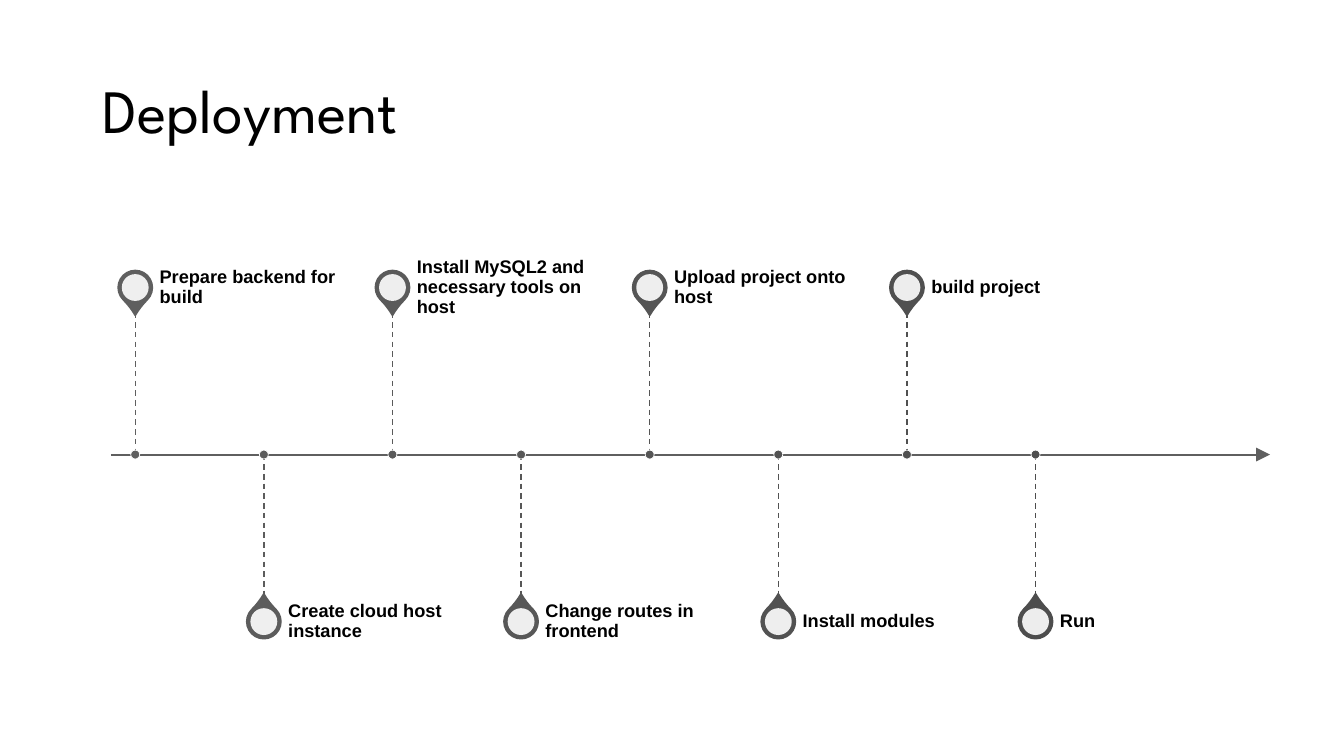
"""Build the deployment timeline slide."""
from lxml import etree
from pptx import Presentation
from pptx.dml.color import RGBColor
from pptx.enum import dml, shapes, text
from pptx.oxml import ns
from pptx.util import Pt

TITLE = "Deployment"
STEPS = [
    "Prepare backend for build",
    "Create cloud host instance",
    "Install MySQL2 and necessary tools on host",
    "Change routes in frontend",
    "Upload project onto host",
    "Install modules",
    "build project",
    "Run",
]
BLACK = RGBColor(0, 0, 0)
WHITE = RGBColor(255, 255, 255)
DARK, DEEP = 0x5F, 0x4D
AXIS = 324.7
LEFT, RIGHT = 79.2, 907.2
FIRST, STEP = 96.6, 91.87
REACH, STEM = 119.3, 101.5
PIN, HOLE, DOT = 24.6, 19.2, 6.4
GAP, WIDE, HIGH = 17.4, 149.8, 35.3


def gray(level):
    return RGBColor(level, level, level)


def disc(slide, kind, x, y, size, fill, edge=None, width=1):
    shape = slide.shapes.add_shape(
        kind, Pt(x - size / 2), Pt(y - size / 2), Pt(size), Pt(size))
    shape.shadow.inherit = False
    shape.fill.solid()
    shape.fill.fore_color.rgb = fill
    if edge is None:
        shape.line.fill.background()
    else:
        shape.line.color.rgb = edge
        shape.line.width = Pt(width)
    return shape


def rule(slide, x1, y1, x2, y2, color, width):
    line = slide.shapes.add_connector(
        shapes.MSO_CONNECTOR.STRAIGHT, Pt(x1), Pt(y1), Pt(x2), Pt(y2))
    line.line.color.rgb = color
    line.line.width = Pt(width)
    etree.SubElement(line._element.spPr, ns.qn("a:effectLst"))
    return line


def write(frame, words, font, size, bold):
    frame.word_wrap = True
    frame.vertical_anchor = text.MSO_ANCHOR.MIDDLE
    para = frame.paragraphs[0]
    para.alignment = text.PP_ALIGN.LEFT
    para.line_spacing = 0.9
    run = para.add_run()
    run.text = words
    run.font.name = font
    run.font.size = Pt(size)
    run.font.bold = bold
    run.font.color.rgb = BLACK


def label(slide, x, y, words):
    box = slide.shapes.add_textbox(
        Pt(x + GAP), Pt(y - HIGH / 2), Pt(WIDE), Pt(HIGH))
    frame = box.text_frame
    frame.margin_left = frame.margin_top = frame.margin_bottom = 0
    frame.margin_right = Pt(6.5)
    write(frame, words, "Arial", 13, True)


def mark(slide, index, words):
    side = 1 if index % 2 else -1
    x = FIRST + index * STEP
    y = AXIS + side * REACH
    color = gray(round(DARK - (DARK - DEEP) * index / (len(STEPS) - 1)))
    oval = shapes.MSO_SHAPE.OVAL

    pin = disc(slide, shapes.MSO_SHAPE.TEAR, x, y, PIN, color, color)
    pin.adjustments[0] = 1.15
    pin.rotation = 315 if side > 0 else 135
    hole = disc(slide, oval, x, y, HOLE, WHITE)
    tint = hole._element.spPr.find(".//" + ns.qn("a:srgbClr"))
    etree.SubElement(tint, ns.qn("a:alpha"), val="90000")

    label(slide, x, y, words)
    ends = sorted([AXIS, AXIS + side * STEM])
    stem = rule(slide, x, ends[0], x, ends[1], color, 1)
    stem.line.dash_style = dml.MSO_LINE.DASH
    disc(slide, oval, x, AXIS, DOT, color, WHITE, 0.5)


def main():
    deck = Presentation()
    deck.slide_width, deck.slide_height = Pt(960), Pt(540)
    slide = deck.slides.add_slide(deck.slide_layouts[5])
    title = slide.shapes.title
    title.left, title.top = Pt(66), Pt(28.75)
    title.width, title.height = Pt(828), Pt(104.4)
    write(title.text_frame, TITLE, "League Spartan", 44, False)

    axis = rule(slide, LEFT, AXIS, RIGHT, AXIS, gray(DARK), 1.5)
    etree.SubElement(axis.line._get_or_add_ln(), ns.qn("a:tailEnd"),
                     type="triangle", w="lg", len="lg")
    for index, words in enumerate(STEPS):
        mark(slide, index, words)
    deck.save("out.pptx")


if __name__ == "__main__":
    main()
